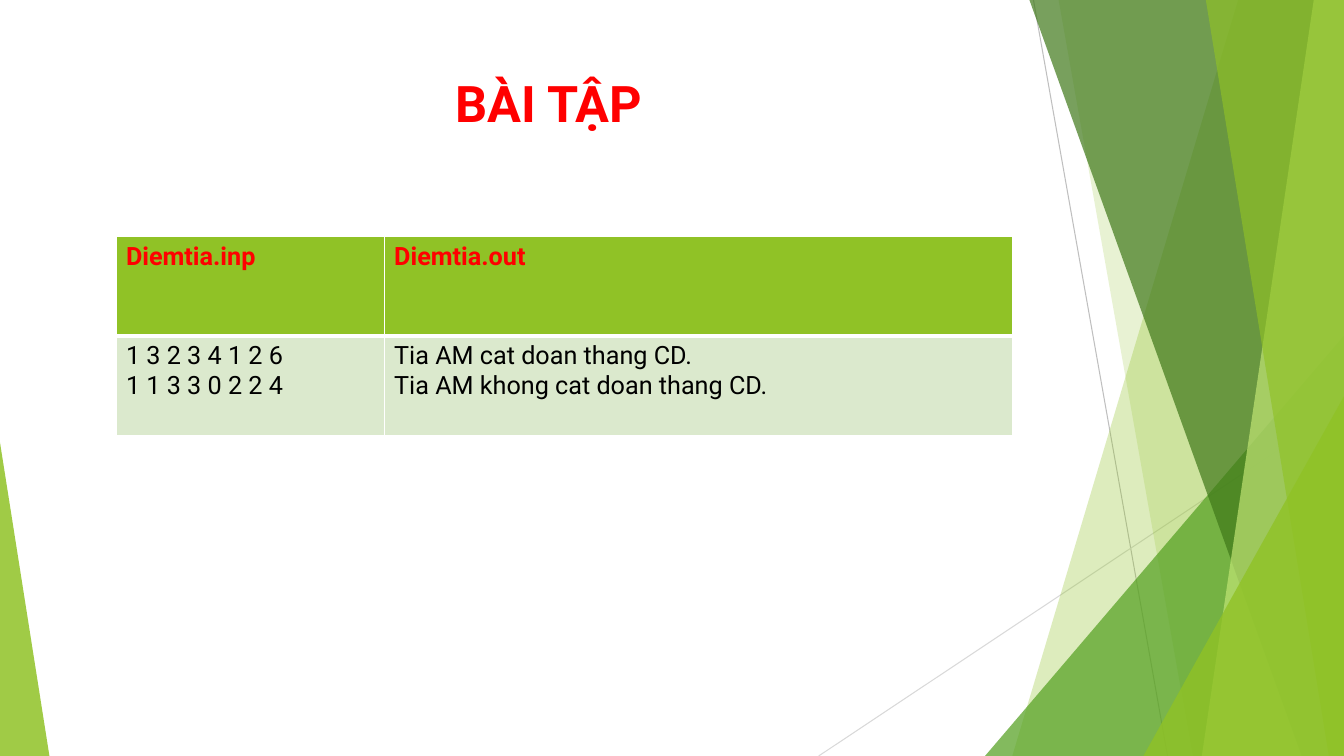
import pptx
import pptx.dml.color
import pptx.enum.shapes
import pptx.enum.text
import pptx.oxml.ns
import pptx.util
from lxml import etree

Inches = pptx.util.Inches
Pt = pptx.util.Pt
qn = pptx.oxml.ns.qn
WIDTH, HEIGHT = 13.33, 7.5
GREEN = "90C226"


def paint(color_format, hex_color, opacity=100):
    """Fill or line or font: pass anything that has a solid colour."""
    if hasattr(color_format, "solid"):
        color_format.solid()
        color_format = color_format.fore_color
    color_format.rgb = pptx.dml.color.RGBColor.from_string(hex_color)
    return opacity


def style_facet(facet, hex_color, opacity):
    paint(facet.fill, hex_color)
    facet.line.fill.background()
    facet.shadow.inherit = False
    srgb = facet.fill._xPr.find(".//" + qn("a:srgbClr"))
    etree.SubElement(srgb, qn("a:alpha")).set("val", str(opacity * 1000))


presentation = pptx.Presentation()
presentation.slide_width = Inches(WIDTH)
presentation.slide_height = Inches(HEIGHT)
slide = presentation.slides.add_slide(presentation.slide_layouts[5])

# Thin lines behind the facets
for x1, y1, x2, y2, gray in [
    (10.25, 0, 11.58, HEIGHT, "BFBFBF"),
    (WIDTH, 4.03, 8.12, HEIGHT, "D9D9D9"),
]:
    ray = slide.shapes.add_connector(
        pptx.enum.shapes.MSO_CONNECTOR.STRAIGHT,
        Inches(x1), Inches(y1), Inches(x2), Inches(y2))
    paint(ray.line.fill, gray)
    ray.line.width = Pt(0.75)
    etree.SubElement(ray._element.spPr, qn("a:effectLst"))

# Translucent facets, back to front. A band runs from its top-left and
# bottom-left x to the right edge; a triangle has left, top, width and apex.
facets = [
    ("band", (12.28, 10.04), GREEN, 30),
    ("band", (10.5, 11.83), GREEN, 20),
    ("triangle", (9.77, 3.33, 3.56, 1), "54A021", 72),
    ("band", (10.21, 12.91), "3F7819", 70),
    ("band", (13.03, 11.92), "C0E474", 70),
    ("band", (11.96, 13.18), GREEN, 65),
    ("triangle", (11.34, 3.93, 1.99, 1), GREEN, 80),
    ("triangle", (0, 4.39, 0.49, 0), GREEN, 85),
]
for kind, measures, hex_color, opacity in facets:
    if kind == "band":
        top_x, bottom_x = measures
        outline = slide.shapes.build_freeform(Inches(top_x), 0)
        outline.add_line_segments([
            (Inches(x), Inches(y)) for x, y in
            [(WIDTH, 0), (WIDTH, HEIGHT), (bottom_x, HEIGHT)]])
        facet = outline.convert_to_shape()
    else:
        left, top, width, apex = measures
        facet = slide.shapes.add_shape(
            pptx.enum.shapes.MSO_SHAPE.ISOSCELES_TRIANGLE,
            Inches(left), Inches(top), Inches(width), Inches(HEIGHT - top))
        facet.adjustments[0] = apex
    style_facet(facet, hex_color, opacity)

# Title
title = slide.shapes.title
title.left, title.top = Inches(0.74), Inches(0.67)
title.width, title.height = Inches(9.4), Inches(1.44)
title.text_frame.text = "BÀI TẬP"
title.text_frame.vertical_anchor = pptx.enum.text.MSO_ANCHOR.TOP
heading = title.text_frame.paragraphs[0]
heading.alignment = pptx.enum.text.PP_ALIGN.CENTER
heading_font = heading.runs[0].font
heading_font.name, heading_font.size, heading_font.bold = "Roboto", Pt(36), True
paint(heading_font.color, "FF0000")

# Table of sample input and output
samples = [
    ["Diemtia.inp", "Diemtia.out"],
    ["1 3 2 3 4 1 2 6\n1 1 3 3 0 2 2 4",
     "Tia AM cat doan thang CD.\nTia AM khong cat doan thang CD."],
]
table = slide.shapes.add_table(
    2, 2, Inches(1.15), Inches(2.35), Inches(8.89), Inches(1.97)).table
for column, width in zip(table.columns, (2.66, 6.23)):
    column.width = Inches(width)
for row_index, row_texts in enumerate(samples):
    is_header = row_index == 0
    table.rows[row_index].height = Inches(0.985)
    for column_index, text in enumerate(row_texts):
        cell = table.cell(row_index, column_index)
        cell.text_frame.text = text
        for paragraph in cell.text_frame.paragraphs:
            font = paragraph.runs[0].font
            font.name, font.size, font.bold = "Roboto", Pt(18), is_header
            paint(font.color, "FF0000" if is_header else "000000")
        cell_properties = cell._tc.get_or_add_tcPr()
        for side in ("lnL", "lnR", "lnT", "lnB"):
            thickness = 3 if is_header and side == "lnB" else 1
            border = etree.SubElement(
                cell_properties, qn("a:" + side), w=str(Pt(thickness)))
            border_fill = etree.SubElement(border, qn("a:solidFill"))
            etree.SubElement(border_fill, qn("a:srgbClr"), val="FFFFFF")
        paint(cell.fill, GREEN if is_header else "DBE9CD")

presentation.save("out.pptx")
